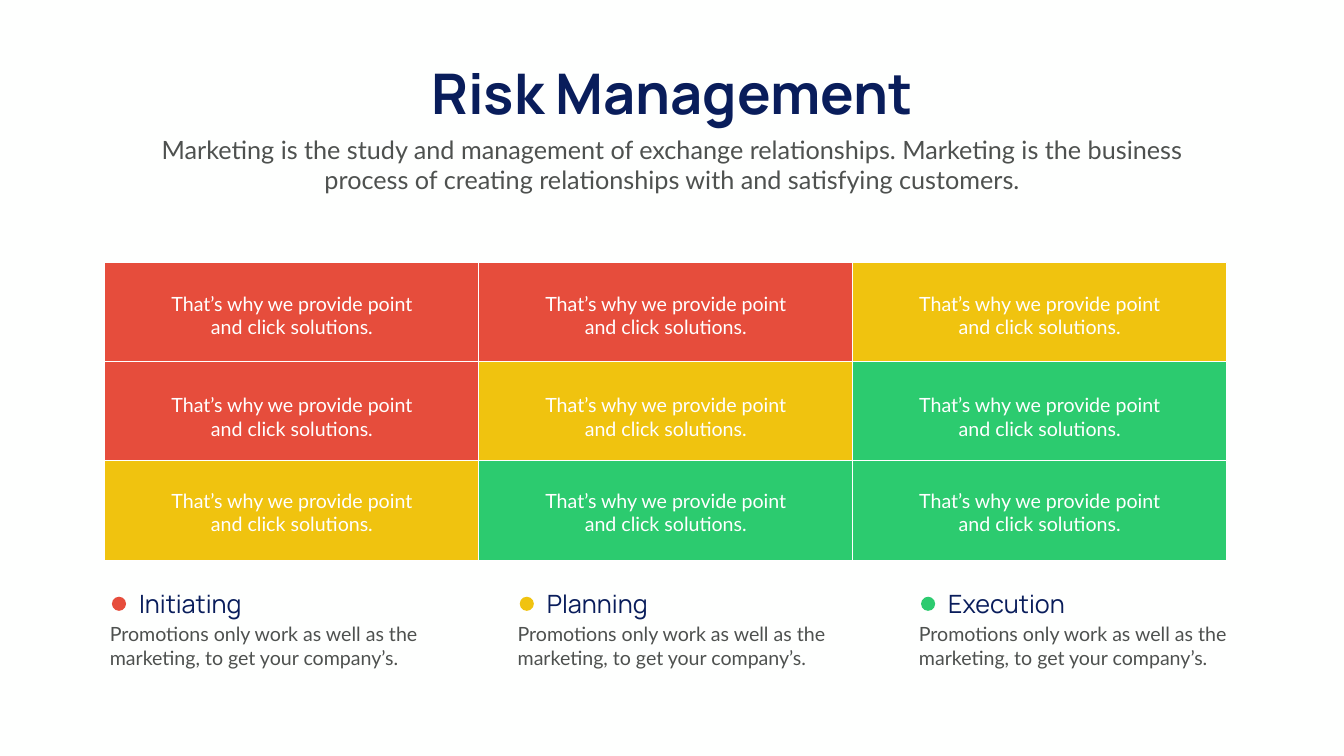
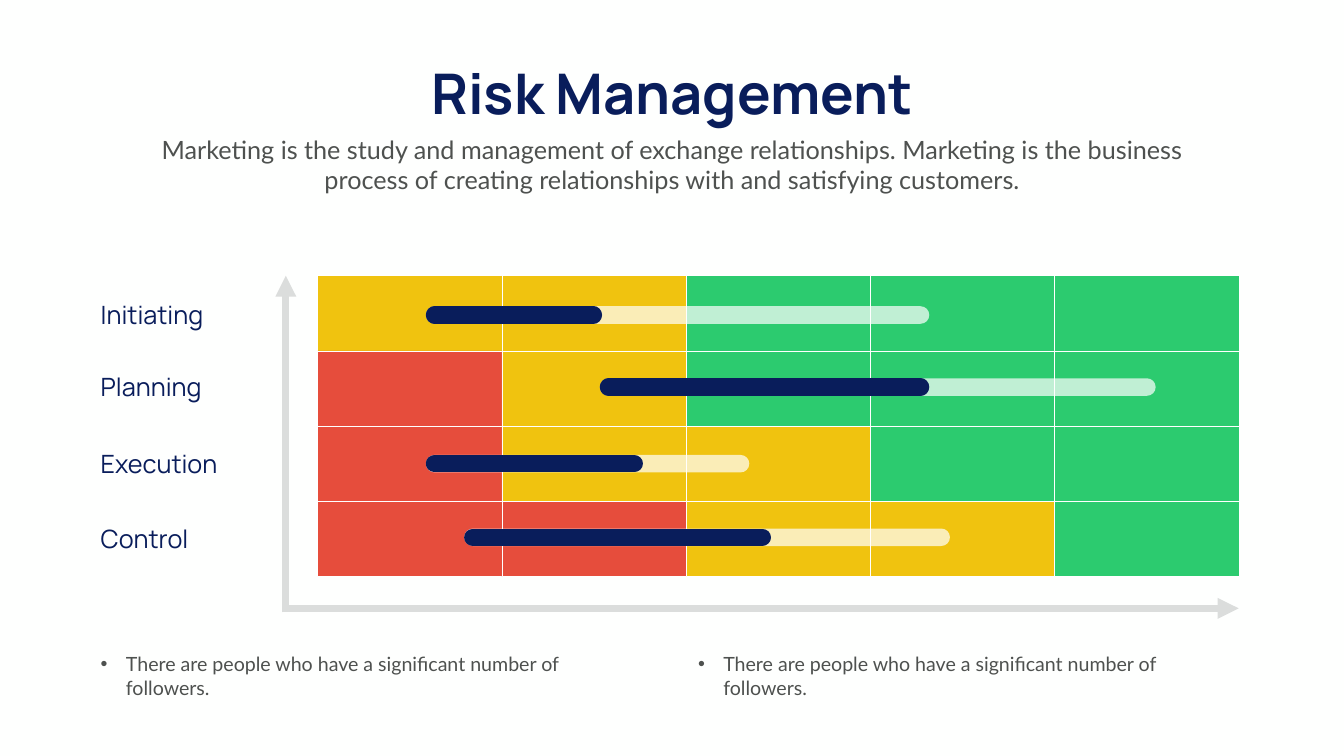
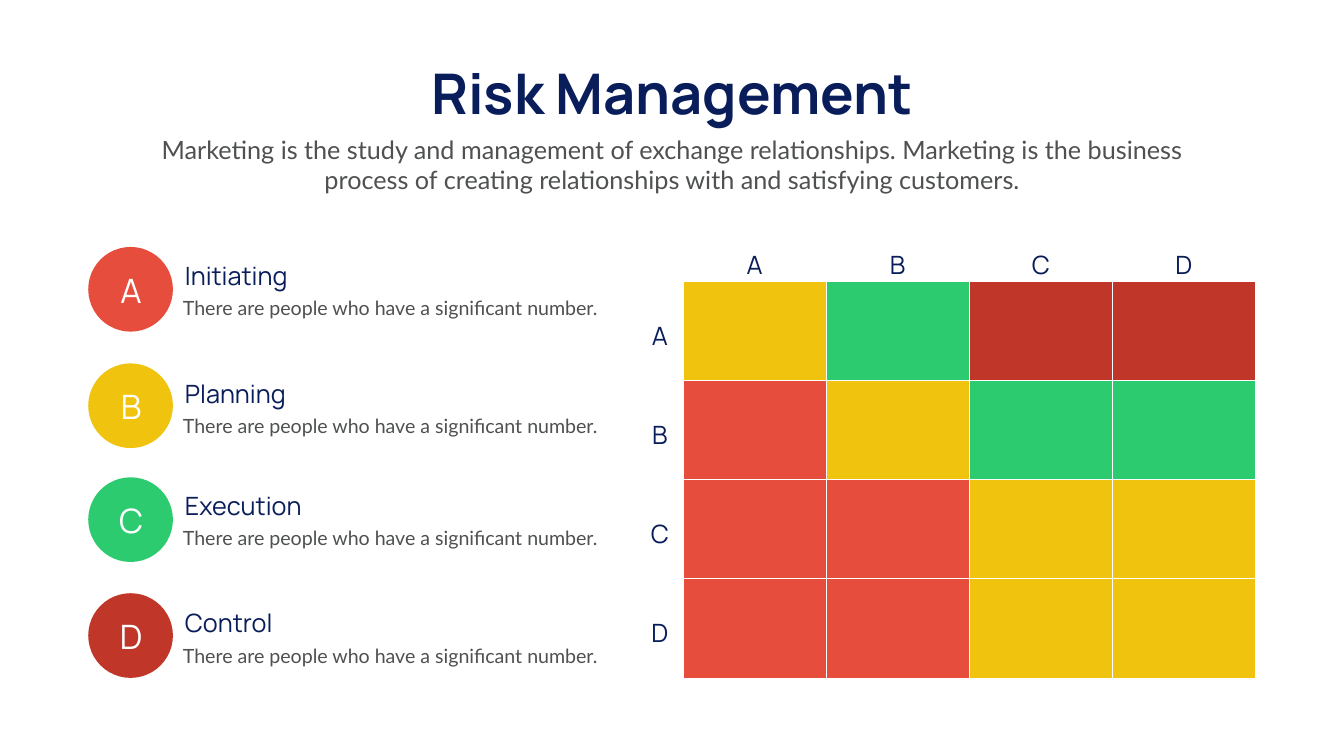
from lxml.etree import SubElement
from pptx import Presentation
from pptx.dml.color import RGBColor
from pptx.enum.shapes import MSO_CONNECTOR as Connector, MSO_SHAPE as Shape
from pptx.enum.text import MSO_AUTO_SIZE as AutoSize, PP_ALIGN as Align
from pptx.oxml.ns import qn
from pptx.util import Inches, Pt

PAPER = RGBColor(0xFE, 0xFF, 0xFE)
WHITE = RGBColor(0xFF, 0xFF, 0xFF)
NAVY = RGBColor(0x09, 0x1D, 0x5B)
GREY = RGBColor(0x4E, 0x51, 0x4F)
SILVER = RGBColor(0xDB, 0xDD, 0xDC)
RED = RGBColor(0xE6, 0x4D, 0x3C)
YELLOW = RGBColor(0xF0, 0xC3, 0x0F)
GREEN = RGBColor(0x2C, 0xCB, 0x6F)
DARK_RED = RGBColor(0xC0, 0x37, 0x2A)
RISK = {"R": RED, "Y": YELLOW, "G": GREEN, "D": DARK_RED}

HEADING = "Manrope"
BODY = "Lato"
PHASES = ["Initiating", "Planning", "Execution", "Control"]
LETTERS = "ABCD"


def add_text(slide, text, box, font=BODY, size=28, color=GREY, bold=False,
             align=Align.LEFT, wrap=True, bullet=False):
    textbox = slide.shapes.add_textbox(*map(Inches, box))
    frame = textbox.text_frame
    frame.word_wrap = wrap
    frame.auto_size = AutoSize.SHAPE_TO_FIT_TEXT
    paragraph = frame.paragraphs[0]
    paragraph.alignment = align
    if bullet:
        props = paragraph._p.get_or_add_pPr()
        props.set("marL", str(Inches(0.5)))
        props.set("indent", str(-Inches(0.5)))
        SubElement(props, qn("a:buFont"), typeface="Arial")
        SubElement(props, qn("a:buChar"), char="•")
    run = paragraph.add_run()
    run.text = text
    run.font.name = font
    run.font.size = Pt(size)
    run.font.bold = bold
    run.font.color.rgb = color


def add_label(slide, text, box, **style):
    add_text(slide, text, box, **{"font": HEADING, "size": 36, "color": NAVY, **style})


def add_block(slide, kind, box, fill, outline=None):
    block = slide.shapes.add_shape(kind, *map(Inches, box))
    block.shadow.inherit = False
    block.fill.solid()
    block.fill.fore_color.rgb = fill
    if outline is None:
        block.line.fill.background()
    else:
        block.line.color.rgb = outline
        block.line.width = Pt(1)


def add_line(slide, start, end, color, width, alpha=None, rounded=False, arrow=False):
    connector = slide.shapes.add_connector(
        Connector.STRAIGHT, *map(Inches, (*start, *end)))
    connector.line.color.rgb = color
    connector.line.width = Pt(width)
    props = connector.element.spPr
    stroke = props.find(qn("a:ln"))
    if rounded:
        stroke.set("cap", "rnd")
    if alpha:
        SubElement(stroke.find(".//" + qn("a:srgbClr")), qn("a:alpha"), val=str(alpha * 1000))
    if arrow:
        SubElement(stroke, qn("a:tailEnd"), type="triangle")
    SubElement(props, qn("a:effectLst"))


def add_header(slide):
    add_label(slide, "Risk Management", (7.99, 1.12, 10.68, 1.45),
              size=80, bold=True, align=Align.CENTER, wrap=False)
    add_text(slide, "Marketing is the study and management of exchange relationships. "
             "Marketing is the business process of creating relationships with and "
             "satisfying customers.", (2.92, 2.61, 20.82, 1.31),
             size=36, align=Align.CENTER)


def add_heat_grid(slide, box, rows):
    left, top, width, height = box
    cell_w, cell_h = width / len(rows[0]), height / len(rows)
    for r, row in enumerate(rows):
        for c, risk in enumerate(row):
            add_block(slide, Shape.RECTANGLE,
                      (left + c * cell_w, top + r * cell_h, cell_w, cell_h),
                      RISK[risk], WHITE)


def add_legend_entry(slide, left, top, phase, color):
    add_label(slide, phase, (left + 0.58, top, 4.99, 0.71))
    add_text(slide, "Promotions only work as well as the marketing, to get your company’s.",
             (left, top + 0.67, 6.45, 1.04))
    add_block(slide, Shape.OVAL, (left + 0.14, top + 0.21, 0.28, 0.28), color)


def add_axes(slide, box):
    left, top, width, height = box
    base = top + height
    add_line(slide, (left, base + 0.08), (left, top), SILVER, 10, arrow=True)
    add_line(slide, (left, base), (left + width, base), SILVER, 10, arrow=True)


def add_progress(slide, y, start, done, end):
    add_line(slide, (start, y), (end, y), WHITE, 25, alpha=70, rounded=True)
    add_line(slide, (start, y), (done, y), NAVY, 25, rounded=True)


def add_badge(slide, left, top, letter, color):
    add_block(slide, Shape.OVAL, (left, top, 1.68, 1.68), color)
    add_label(slide, letter, (left + 0.51, top + 0.4, 0.68, 0.91),
              size=48, color=WHITE, align=Align.CENTER, wrap=False)


def add_phase_note(slide, left, top, phase):
    add_label(slide, phase, (left + 0.04, top, 3.3, 0.71))
    add_text(slide, "There are people who have a significant number.",
             (left, top + 0.71, 9.43, 0.57))


def build_matrix_slide(slide):
    left, top, width, height = grid = (2.08, 5.2, 22.25, 5.91)
    add_heat_grid(slide, grid, ["RRY", "RYG", "YGG"])
    for offset in (0.54, 2.55, 4.45):
        for column in range(3):
            add_text(slide, "That’s why we provide point and click solutions.",
                     (left + 0.86 + column * width / 3, top + offset, 5.7, 0.91),
                     color=WHITE, align=Align.CENTER)
    for x, phase, color in zip((2.08, 10.17, 18.13), PHASES, (RED, YELLOW, GREEN)):
        add_legend_entry(slide, x, top + height + 0.52, phase, color)


def build_timeline_slide(slide):
    grid = (6.3, 5.47, 18.28, 5.97)
    add_heat_grid(slide, grid, ["YYGGG", "RYGGG", "RYYGG", "RRYYG"])
    add_axes(slide, (5.67, 5.47, 18.9, 6.6))
    tracks = [
        (5.89, 6.25, 8.62, 11.77, 18.26),
        (7.32, 7.68, 12.07, 18.26, 22.75),
        (8.85, 9.2, 8.62, 12.58, 14.69),
        (10.34, 10.66, 9.38, 15.12, 18.67),
    ]
    for phase, (label_top, *progress) in zip(PHASES, tracks):
        add_label(slide, phase, (1.9, label_top, 3.09, 0.71))
        add_progress(slide, *progress)
    for x in (1.9, 13.75):
        add_text(slide, "There are people who have a significant number of followers.",
                 (x, 12.89, 11.01, 0.57), bullet=True)


def build_scoring_slide(slide):
    badge_tops = (4.9, 7.21, 9.47, 11.77)
    note_tops = (5.12, 7.45, 9.68, 12.01)
    colors = (RED, YELLOW, GREEN, DARK_RED)
    for letter, phase, color, badge_top, note_top in zip(
            LETTERS, PHASES, colors, badge_tops, note_tops):
        add_badge(slide, 1.75, badge_top, letter, color)
        add_phase_note(slide, 3.53, note_top, phase)

    left, top, width, height = grid = (13.55, 5.59, 11.35, 7.86)
    add_heat_grid(slide, grid, ["YGDD", "RYGG", "RRYY", "RRYY"])
    for i, letter in enumerate(LETTERS):
        add_label(slide, letter, (left + 0.98 + i * width / 4, top - 0.69, 0.88, 0.65),
                  align=Align.CENTER)
        add_label(slide, letter, (left - 0.9, top + 0.72 + i * height / 4, 0.88, 0.65),
                  align=Align.CENTER)


def main():
    deck = Presentation()
    deck.slide_width = Inches(26.66)
    deck.slide_height = Inches(15)
    backdrop = deck.slide_master.background.fill
    backdrop.solid()
    backdrop.fore_color.rgb = PAPER
    for build in (build_matrix_slide, build_timeline_slide, build_scoring_slide):
        slide = deck.slides.add_slide(deck.slide_layouts[6])
        add_header(slide)
        build(slide)
    deck.save("out.pptx")


if __name__ == "__main__":
    main()
